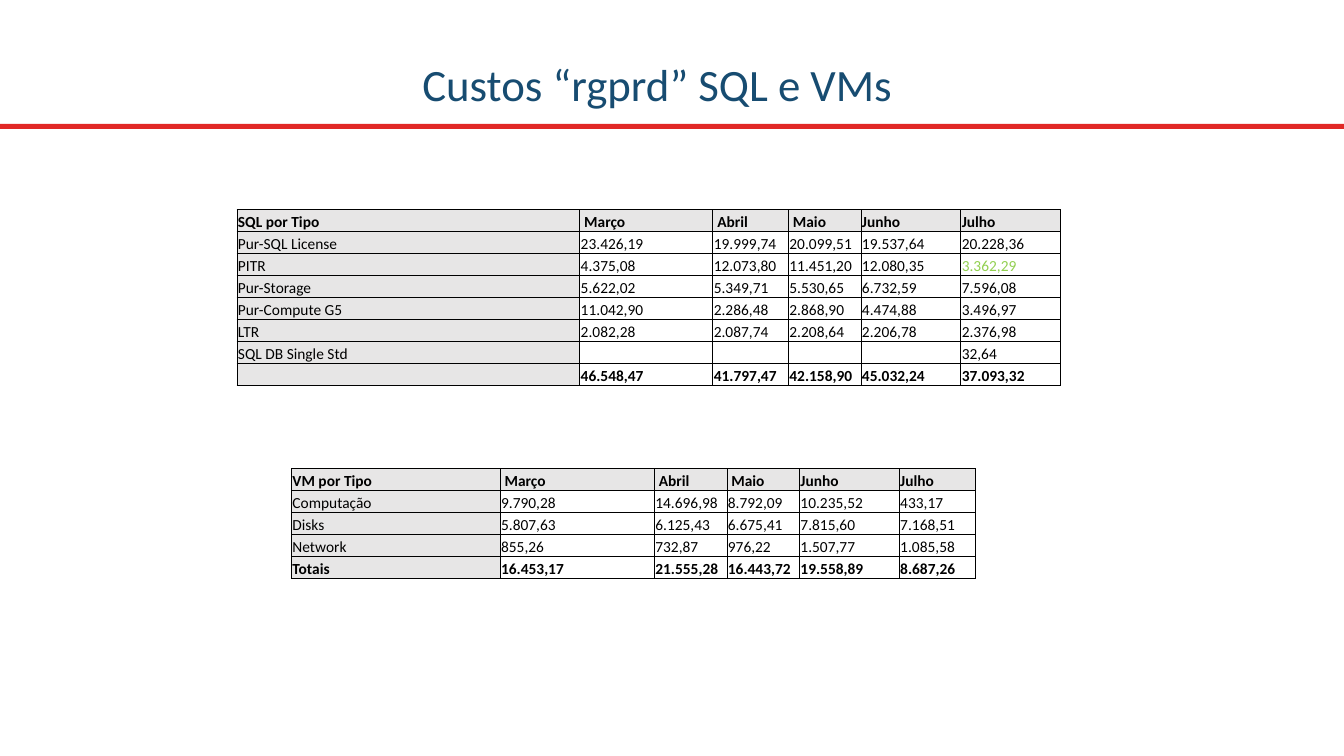
from lxml import etree
from pptx import Presentation
from pptx.dml.color import RGBColor
from pptx.enum.shapes import MSO_SHAPE
from pptx.enum.text import MSO_ANCHOR, PP_ALIGN
from pptx.oxml.ns import qn
from pptx.util import Inches, Pt

RECT = MSO_SHAPE.RECTANGLE
CENTER = PP_ALIGN.CENTER
MIDDLE, BOTTOM = MSO_ANCHOR.MIDDLE, MSO_ANCHOR.BOTTOM

FONT = "Calibri"
ROW_H = 0.218
COLORS = {"title": "174C71", "rule": "E12826", "header": "E7E6E6",
          "text": "000000", "border": "000000", "low": "92D050"}
CELL_FORMAT = {"margin_left": Inches(0.01), "margin_right": Inches(0.01),
               "margin_top": Inches(0.01), "margin_bottom": 0,
               "vertical_anchor": BOTTOM}
MONTHS = [" Março", " Abril", " Maio", "Junho", "Julho"]

TABLES = [
    {"at": (2.35, 2.08), "cols": [3.4, 1.32, 0.75, 0.72, 0.99, 0.99],
     "low": (2, 5),
     "rows": [
         ["SQL por Tipo", *MONTHS],
         ["Pur-SQL License", "23.426,19", "19.999,74", "20.099,51", "19.537,64", "20.228,36"],
         ["PITR", "4.375,08", "12.073,80", "11.451,20", "12.080,35", "3.362,29"],
         ["Pur-Storage", "5.622,02", "5.349,71", "5.530,65", "6.732,59", "7.596,08"],
         ["Pur-Compute G5", "11.042,90", "2.286,48", "2.868,90", "4.474,88", "3.496,97"],
         ["LTR", "2.082,28", "2.087,74", "2.208,64", "2.206,78", "2.376,98"],
         ["SQL DB Single Std", "", "", "", "", "32,64"],
         ["", "46.548,47", "41.797,47", "42.158,90", "45.032,24", "37.093,32"],
     ]},
    {"at": (2.89, 4.65), "cols": [2.07, 1.53, 0.72, 0.72, 0.99, 0.75],
     "low": None,
     "rows": [
         ["VM por Tipo", *MONTHS],
         ["Computação", "9.790,28", "14.696,98", "8.792,09", "10.235,52", "433,17"],
         ["Disks", "5.807,63", "6.125,43", "6.675,41", "7.815,60", "7.168,51"],
         ["Network", "855,26", "732,87", "976,22", "1.507,77", "1.085,58"],
         ["Totais", "16.453,17", "21.555,28", "16.443,72", "19.558,89", "8.687,26"],
     ]},
]


def add_text(p, text, size, color, bold=False):
    r = p.add_run()
    r.text = text
    for name, value in {"name": FONT, "size": Pt(size), "bold": bold}.items():
        setattr(r.font, name, value)
    r.font.color.rgb = RGBColor.from_string(COLORS[color])


def add_borders(cell):
    tcPr = cell._tc.get_or_add_tcPr()
    for side in ("lnL", "lnR", "lnT", "lnB"):
        ln = etree.SubElement(tcPr, qn(f"a:{side}"), w=str(Pt(0.5)))
        fill = etree.SubElement(ln, qn("a:solidFill"))
        etree.SubElement(fill, qn("a:srgbClr"), val=COLORS["border"])


prs = Presentation()
prs.slide_width, prs.slide_height = Inches(13.33), Inches(7.5)
s = prs.slides.add_slide(prs.slide_layouts[6])

# Red rule under the title
sp = s.shapes.add_shape(RECT, 0, Inches(1.23), Inches(13.33), Inches(0.05))
sp.shadow.inherit = False
sp.fill.solid()
sp.fill.fore_color.rgb = RGBColor.from_string(COLORS["rule"])
sp.line.fill.background()

# Title
sp = s.shapes.add_textbox(Inches(0.22), Inches(0.44), Inches(12.6), Inches(0.85))
tf = sp.text_frame
tf.word_wrap = True
tf.vertical_anchor = MIDDLE
p = tf.paragraphs[0]
p.alignment = CENTER
p.line_spacing = 0.9
add_text(p, "Custos “rgprd” SQL e VMs", 32, "title")

# Cost tables
for spec_table in TABLES:
    rows, cols = spec_table["rows"], spec_table["cols"]
    left, top = spec_table["at"]
    table = s.shapes.add_table(len(rows), len(cols), Inches(left), Inches(top),
                               Inches(sum(cols)), Inches(ROW_H * len(rows))).table
    table.first_row = table.horz_banding = False
    for column, width in zip(table.columns, cols):
        column.width = Inches(width)
    for i, row in enumerate(rows):
        table.rows[i].height = Inches(ROW_H)
        for j, text in enumerate(row):
            cell = table.cell(i, j)
            for name, value in CELL_FORMAT.items():
                setattr(cell, name, value)
            add_borders(cell)
            if i == 0 or j == 0:
                cell.fill.solid()
                cell.fill.fore_color.rgb = RGBColor.from_string(COLORS["header"])
            else:
                cell.fill.background()
            p = cell.text_frame.paragraphs[0]
            if text:
                color = "low" if (i, j) == spec_table["low"] else "text"
                add_text(p, text, 11, color, i in (0, len(rows) - 1))
            else:
                # Keep empty cells at the row height
                etree.SubElement(p._p, qn("a:endParaRPr"), sz="1100")

prs.save("out.pptx")
